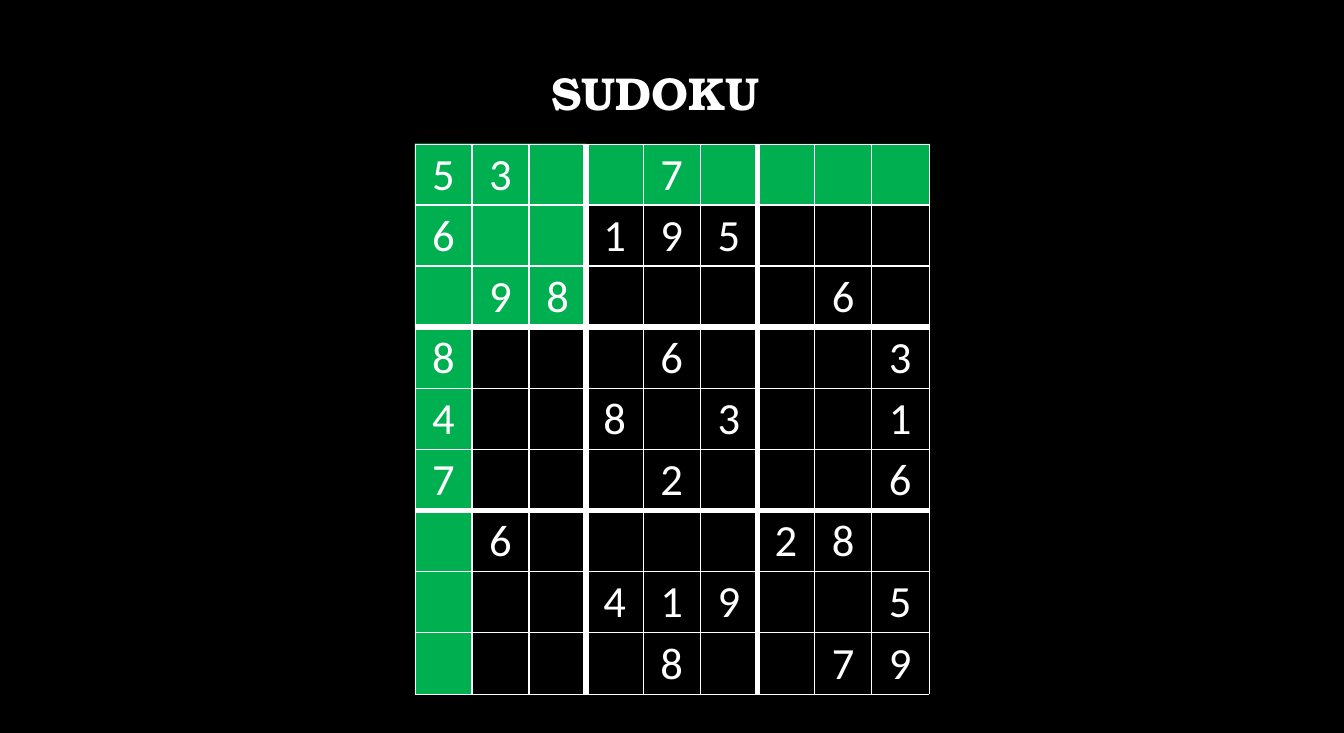
from lxml import etree
from pptx import Presentation
from pptx.dml.color import RGBColor
from pptx.enum.shapes import MSO_SHAPE
from pptx.enum.text import MSO_ANCHOR, PP_ALIGN
from pptx.oxml.ns import qn
from pptx.util import Pt

RECTANGLE = MSO_SHAPE.RECTANGLE
MIDDLE = MSO_ANCHOR.MIDDLE
CENTER = PP_ALIGN.CENTER

BLACK, WHITE, GREEN = "000000", "FFFFFF", "00B050"
TITLE_FONT = {"name": "TeX Gyre Bonum", "size": Pt(32.1), "bold": True}
DIGIT_FONT = {"name": "Calibri", "size": Pt(31)}
CELL_FORMAT = {
    "margin_left": Pt(0.7), "margin_right": Pt(0.7),
    "margin_top": Pt(0.7), "margin_bottom": 0,
    "vertical_anchor": MIDDLE,
}

SLIDE_SIZE = (935.43, 510.24)
TITLE_BOX = (59.04, 17.28, 794.16, 98.64)
GRID_BOX = (288.72, 100.08, 357.84, 383.04)
GRID_COUNT, BLOCK_COUNT = 9, 3

# One string per row, a dot for an empty cell
PUZZLE = (
    "53..7....",
    "6..195...",
    ".98....6.",
    "8...6...3",
    "4..8.3..1",
    "7...2...6",
    ".6....28.",
    "...419..5",
    "....8..79",
)
# Columns and rows covered, counted from the top left cell
HIGHLIGHTS = ((BLOCK_COUNT, BLOCK_COUNT), (1, GRID_COUNT), (GRID_COUNT, 1))


def color(hex_string):
    return RGBColor.from_string(hex_string)


def set_attributes(target, values):
    for name, value in values.items():
        setattr(target, name, value)


def write_text(text_frame, text, font):
    paragraph = text_frame.paragraphs[0]
    paragraph.alignment = CENTER
    run = paragraph.add_run()
    run.text = text
    set_attributes(run.font, font)
    run.font.color.rgb = color(WHITE)


def add_title(slide, box):
    shape = slide.shapes.add_textbox(*map(Pt, box))
    set_attributes(shape.text_frame, {"word_wrap": True, "vertical_anchor": MIDDLE})
    write_text(shape.text_frame, "SUDOKU", TITLE_FONT)
    shape.text_frame.paragraphs[0].line_spacing = 0.9


def add_highlights(slide, box):
    left, top, width, height = box
    for columns, rows in HIGHLIGHTS:
        size = (width * columns / GRID_COUNT, height * rows / GRID_COUNT)
        shape = slide.shapes.add_shape(RECTANGLE, *map(Pt, (left, top, *size)))
        shape.shadow.inherit = False
        shape.fill.solid()
        shape.fill.fore_color.rgb = color(GREEN)
        shape.line.fill.background()


def line_weight(index):
    """Return the width of a grid line, counted from the outer edge."""
    if index in (0, GRID_COUNT):
        return 0.25
    return 1 if index % BLOCK_COUNT else 4.5


def add_borders(cell, row, column):
    properties = cell._tc.get_or_add_tcPr()
    lines = {"a:lnL": column, "a:lnR": column + 1, "a:lnT": row, "a:lnB": row + 1}
    for tag, index in lines.items():
        line = etree.SubElement(properties, qn(tag), w=str(Pt(line_weight(index))))
        fill = etree.SubElement(line, qn("a:solidFill"))
        etree.SubElement(fill, qn("a:srgbClr"), val=WHITE)


def add_grid(slide, box):
    frame = slide.shapes.add_table(GRID_COUNT, GRID_COUNT, *map(Pt, box))
    table = frame.table
    set_attributes(table, {"first_row": False, "horz_banding": False})
    for column in table.columns:
        column.width = Pt(box[2] / GRID_COUNT)
    for row in table.rows:
        row.height = Pt(box[3] / GRID_COUNT)
    for row, digits in enumerate(PUZZLE):
        for column, digit in enumerate(digits):
            cell = table.cell(row, column)
            set_attributes(cell, CELL_FORMAT)
            add_borders(cell, row, column)
            cell.fill.background()
            if digit != ".":
                write_text(cell.text_frame, digit, DIGIT_FONT)


def main():
    presentation = Presentation()
    presentation.slide_width, presentation.slide_height = map(Pt, SLIDE_SIZE)
    slide = presentation.slides.add_slide(presentation.slide_layouts[6])
    slide.background.fill.solid()
    slide.background.fill.fore_color.rgb = color(BLACK)
    add_highlights(slide, GRID_BOX)
    add_title(slide, TITLE_BOX)
    add_grid(slide, GRID_BOX)
    presentation.save("out.pptx")


if __name__ == "__main__":
    main()
